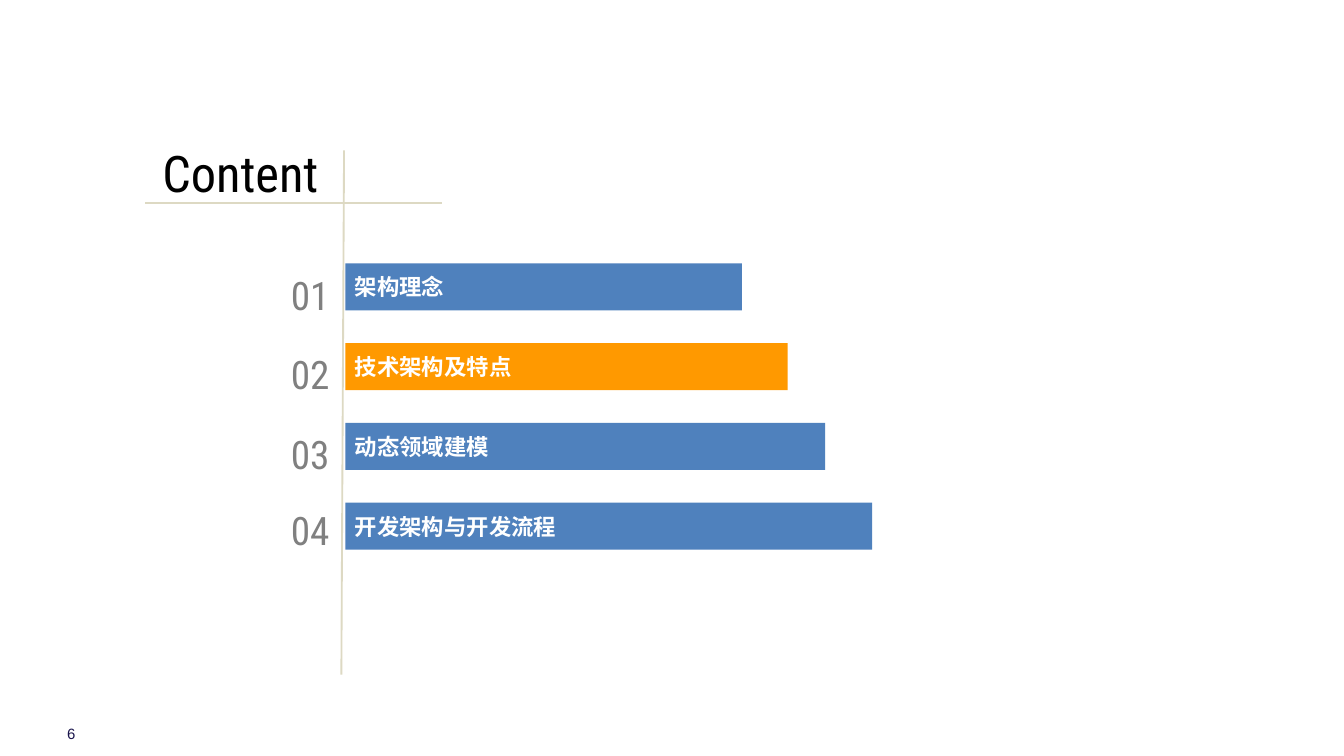
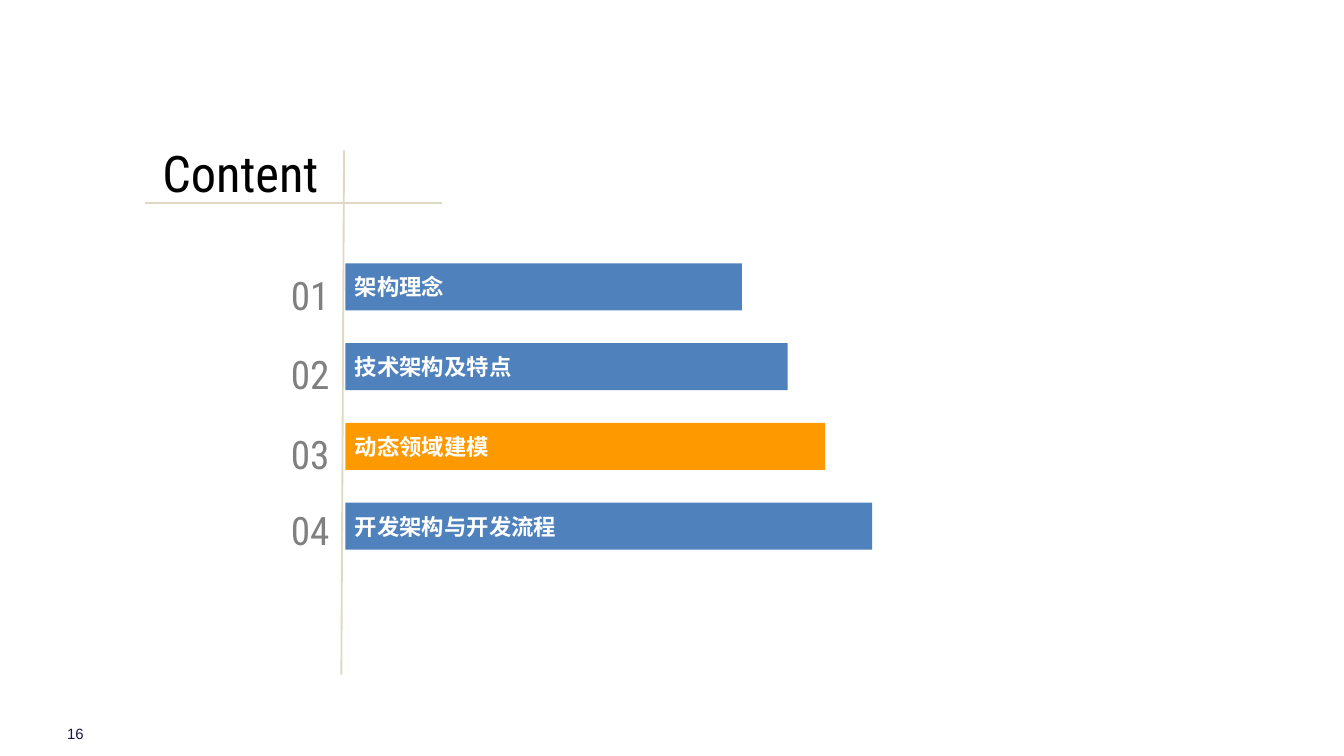
from dataclasses import dataclass
from typing import Optional

from lxml.etree import SubElement
from pptx import Presentation
from pptx.dml.color import RGBColor
from pptx.enum.shapes import MSO_CONNECTOR, MSO_SHAPE
from pptx.enum.text import MSO_ANCHOR, MSO_AUTO_SIZE, PP_ALIGN
from pptx.oxml.ns import qn
from pptx.shapes.autoshape import Shape
from pptx.slide import Slide
from pptx.util import Inches, Pt

COLORS = {
    "title": "000000",
    "number": "808080",
    "rule": "DDD9C3",
    "bar": "4F81BD",
    "current": "FF9900",
    "bar_text": "FFFFFF",
    "page": "1A154C",
}
SLIDE_WIDTH = 10
SLIDE_HEIGHT = SLIDE_WIDTH * 9 / 16
BAR_LEFT, BAR_HEIGHT = 2.57, 0.35
FIRST_BAR_TOP, LAST_BAR_TOP = 1.96, 3.74


@dataclass(frozen=True)
class TextStyle:
    size: int
    color: str
    font: str = "Arial"
    bold: Optional[bool] = None
    align: PP_ALIGN = PP_ALIGN.LEFT
    anchor: MSO_ANCHOR = MSO_ANCHOR.TOP
    margins: tuple[float, float] = (0.1, 0.05)
    line_spacing: Optional[float] = None
    grow: bool = False


@dataclass(frozen=True)
class Chapter:
    name: str
    bar_width: float
    number_top: float


@dataclass(frozen=True)
class Agenda:
    page: int
    current: int


TITLE = TextStyle(27, "title", font="Roboto Condensed")
NUMBER = TextStyle(21, "number", font="Roboto Condensed", align=PP_ALIGN.RIGHT,
                   line_spacing=1.2, grow=True)
BAR = TextStyle(12, "bar_text", bold=True, anchor=MSO_ANCHOR.MIDDLE, margins=(0.07, 0.04))
PAGE = TextStyle(8, "page", anchor=MSO_ANCHOR.MIDDLE, margins=(0, 0), grow=True)

CHAPTERS = [
    Chapter("架构理念", 2.95, 1.9),
    Chapter("技术架构及特点", 3.29, 2.49),
    Chapter("动态领域建模", 3.57, 3.08),
    Chapter("开发架构与开发流程", 3.92, 3.65),
]
AGENDAS = [Agenda(page=6, current=2), Agenda(page=16, current=3)]


def color(name: str) -> RGBColor:
    return RGBColor.from_string(COLORS[name])


def write(shape: Shape, text: str, style: TextStyle) -> None:
    frame = shape.text_frame
    frame.word_wrap = True
    frame.auto_size = MSO_AUTO_SIZE.SHAPE_TO_FIT_TEXT if style.grow else MSO_AUTO_SIZE.NONE
    frame.vertical_anchor = style.anchor
    horizontal, vertical = style.margins
    frame.margin_left = frame.margin_right = Inches(horizontal)
    frame.margin_top = frame.margin_bottom = Inches(vertical)
    paragraph = frame.paragraphs[0]
    paragraph.alignment = style.align
    paragraph.line_spacing = style.line_spacing
    run = paragraph.add_run()
    run.text = text
    run.font.name = style.font
    run.font.size = Pt(style.size)
    run.font.bold = style.bold
    run.font.color.rgb = color(style.color)


def add_text(slide: Slide, left: float, top: float, width: float, height: float,
             text: str, style: TextStyle) -> None:
    box = slide.shapes.add_textbox(Inches(left), Inches(top), Inches(width), Inches(height))
    write(box, text, style)


def add_rule(slide: Slide, x1: float, y1: float, x2: float, y2: float) -> None:
    rule = slide.shapes.add_connector(MSO_CONNECTOR.STRAIGHT, Inches(x1), Inches(y1),
                                      Inches(x2), Inches(y2))
    rule.line.color.rgb = color("rule")
    rule.line.width = Pt(1)
    SubElement(rule._element.spPr, qn("a:effectLst"))


def add_bar(slide: Slide, top: float, width: float, text: str, fill: str) -> None:
    bar = slide.shapes.add_shape(MSO_SHAPE.RECTANGLE, Inches(BAR_LEFT), Inches(top),
                                 Inches(width), Inches(BAR_HEIGHT))
    bar.shadow.inherit = False
    bar.fill.solid()
    bar.fill.fore_color.rgb = color(fill)
    bar.line.fill.background()
    write(bar, text, BAR)


def add_agenda(slide: Slide, agenda: Agenda) -> None:
    add_text(slide, 0.5, 5.39, 0.25, 0.14, str(agenda.page), PAGE)
    add_text(slide, 1.11, 1.01, 2.04, 0.44, "Content", TITLE)
    add_rule(slide, 2.56, 1.12, 2.54, 5.02)
    add_rule(slide, 1.08, 1.51, 3.29, 1.51)
    pitch = (LAST_BAR_TOP - FIRST_BAR_TOP) / (len(CHAPTERS) - 1)
    for number, chapter in enumerate(CHAPTERS, start=1):
        add_text(slide, 1.97, chapter.number_top, 0.58, 0.53, f"{number:02}", NUMBER)
        fill = "current" if number == agenda.current else "bar"
        add_bar(slide, FIRST_BAR_TOP + (number - 1) * pitch, chapter.bar_width,
                chapter.name, fill)


def main() -> None:
    presentation = Presentation()
    presentation.slide_width = Inches(SLIDE_WIDTH)
    presentation.slide_height = Inches(SLIDE_HEIGHT)
    blank = presentation.slide_layouts[6]
    for agenda in AGENDAS:
        add_agenda(presentation.slides.add_slide(blank), agenda)
    presentation.save("out.pptx")


if __name__ == "__main__":
    main()
